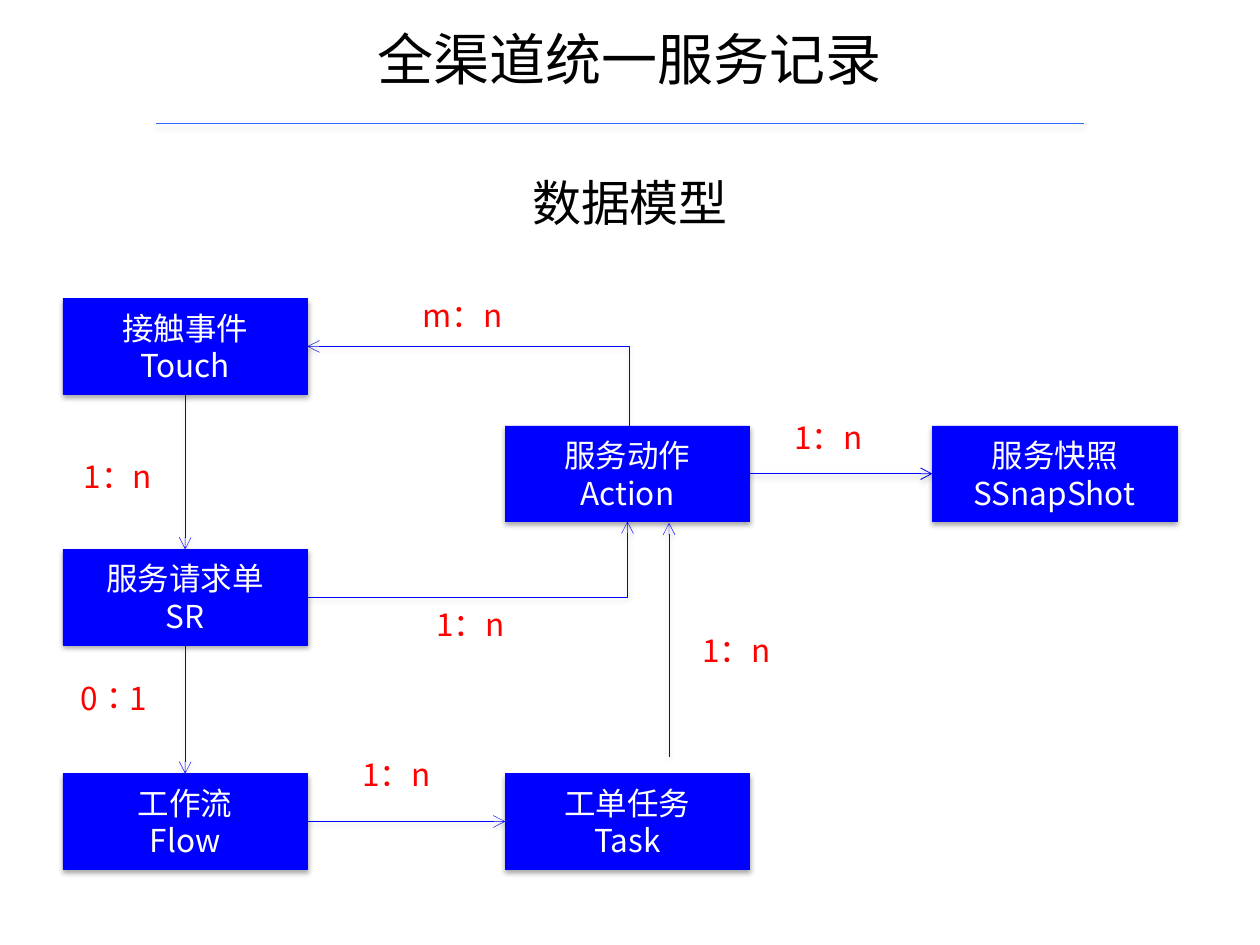
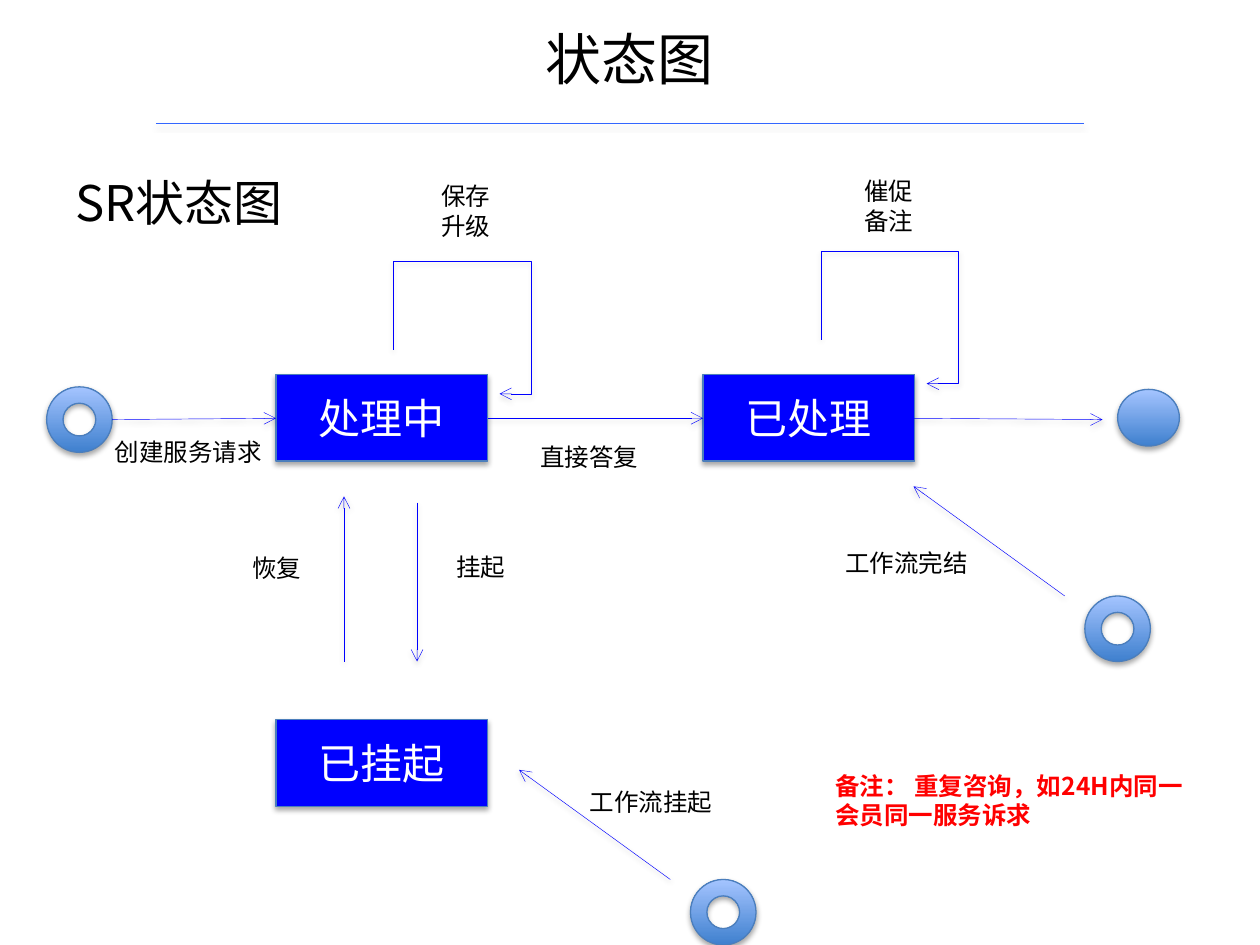
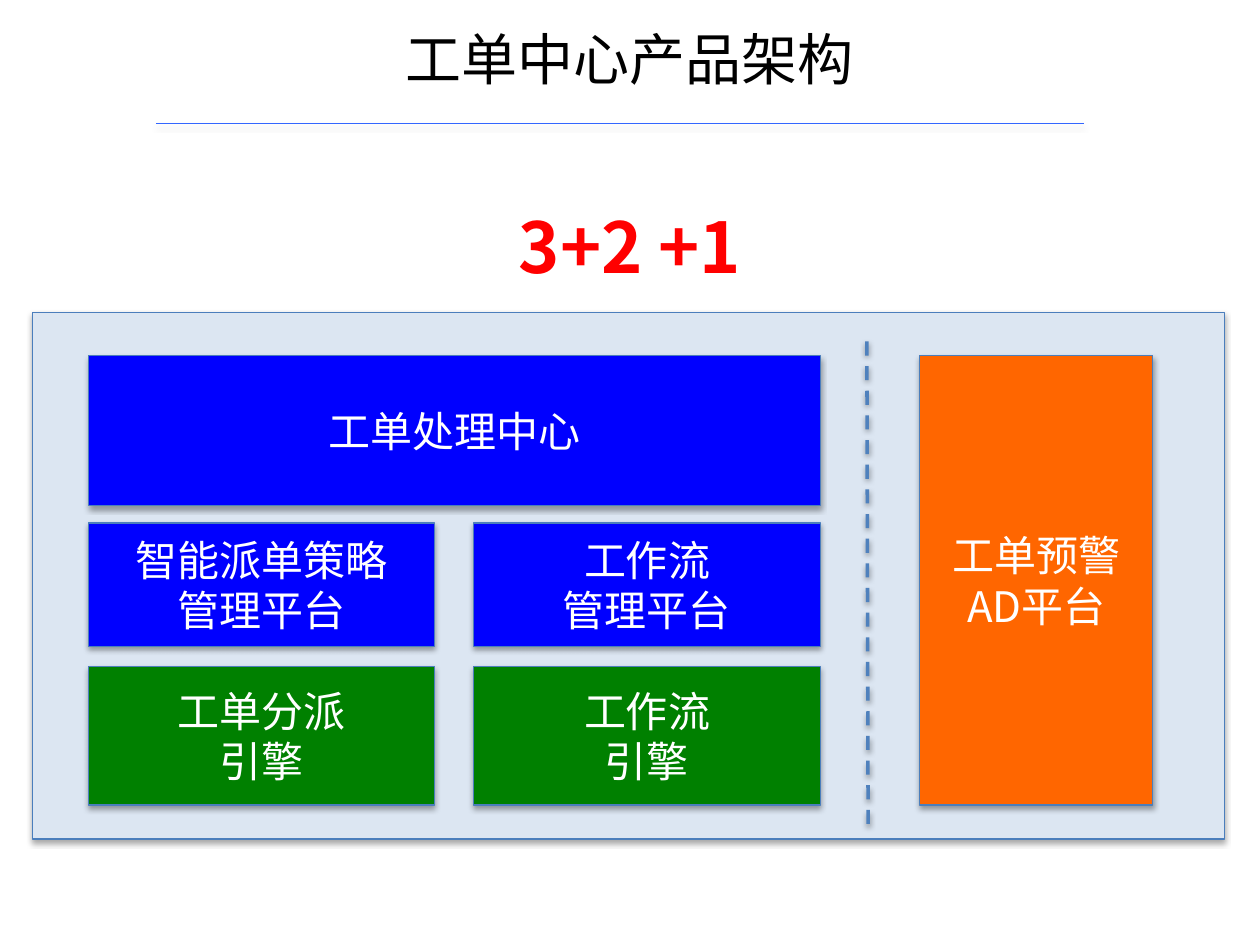
from collections import namedtuple
from lxml import etree
from pptx import Presentation
from pptx import util as u
from pptx.dml.color import RGBColor
from pptx.enum import dml, shapes, text
from pptx.oxml.ns import qn

BLUE = RGBColor(0x00, 0x00, 0xFF)
RULE = RGBColor(0x33, 0x66, 0xFF)
EDGE = RGBColor(0x4B, 0x7E, 0xBC)
DASH = RGBColor(0x4F, 0x81, 0xBD)
DEEP = RGBColor(0x3F, 0x80, 0xCE)
LIGHT = RGBColor(0xA4, 0xC4, 0xFF)
PALE = RGBColor(0xDC, 0xE6, 0xF2)
GREEN = RGBColor(0x00, 0x80, 0x00)
ORANGE = RGBColor(0xFF, 0x66, 0x00)
RED = RGBColor(0xFF, 0x00, 0x00)
BLACK = RGBColor(0x00, 0x00, 0x00)
WHITE = RGBColor(0xFF, 0xFF, 0xFF)
SC = "Noto Sans CJK SC"
JP = "Noto Sans CJK JP"
WIDE, HIGH = u.Inches(10), u.Inches(7.5)
COL, ROW = WIDE / 10, HIGH / 7.5
TOP, LEFT, BOTTOM, RIGHT = range(4)
MID = text.MSO_ANCHOR.MIDDLE
FORM = shapes.MSO_SHAPE

Box = namedtuple("Box", "x y w h")


def sub(box, x, y, w=0, h=0):
    """Return a part of a box, counted in columns and rows from its corner."""
    return Box(box.x + x, box.y + y, w, h)


def emu(box):
    """Turn a grid box into slide lengths."""
    return [round(n * m) for n, m in zip(box, (COL, ROW, COL, ROW))]


def shade(item, dist, alpha):
    """Give a shape or line a soft shadow below it."""
    props = item._element.spPr
    list_ = props.find(qn("a:effectLst"))
    if list_ is None:
        list_ = etree.SubElement(props, qn("a:effectLst"))
    cast = etree.SubElement(list_, qn("a:outerShdw"), blurRad="40000",
                            dist=str(dist), dir="5400000", rotWithShape="0")
    tint = etree.SubElement(cast, qn("a:srgbClr"), val="000000")
    etree.SubElement(tint, qn("a:alpha"), val=str(alpha * 1000))


def write(frame, words, size=18, color=BLACK, font=SC, bold=False,
          center=True, anchor=text.MSO_ANCHOR.TOP):
    """Fill a text frame, one paragraph a line."""
    frame.word_wrap = True
    frame.vertical_anchor = anchor
    for i, words_ in enumerate(words.split("\n")):
        para = frame.add_paragraph() if i else frame.paragraphs[0]
        para.alignment = text.PP_ALIGN.CENTER if center else text.PP_ALIGN.LEFT
        run = para.add_run()
        run.text = words_
        run.font.size, run.font.bold = u.Pt(size), bold
        run.font.name, run.font.color.rgb = font, color
        etree.SubElement(run._r.get_or_add_rPr(), qn("a:ea"), typeface=font)


def label(slide, box, words, **form):
    """Add a text box."""
    frame = slide.shapes.add_textbox(*emu(box)).text_frame
    write(frame, words, **form)
    return frame


def block(slide, box, fill, words="", kind=FORM.RECTANGLE, edge=EDGE,
          width=0.75, **form):
    """Add a shape with a shadow; no fill colour means the blue gradient."""
    item = slide.shapes.add_shape(kind, *emu(box))
    if fill is None:
        item.fill.gradient()
        item.fill.gradient_angle = 90
        for stop, color in zip(item.fill.gradient_stops, (DEEP, LIGHT)):
            stop.color.rgb = color
    else:
        item.fill.solid()
        item.fill.fore_color.rgb = fill
    item.line.color.rgb, item.line.width = edge, u.Pt(width)
    item.shadow.inherit = False
    shade(item, 23000, 35)
    if words:
        write(item.text_frame, words, color=WHITE, anchor=MID, **form)
    return item


def line(slide, start, end, color=BLUE, width=0.25, arrow=True, dash=None,
         kind=shapes.MSO_CONNECTOR.STRAIGHT):
    """Add a connector, with an open arrowhead unless told otherwise."""
    item = slide.shapes.add_connector(
        kind, *emu(start)[:2], *emu(end)[:2])
    item.line.color.rgb, item.line.width = color, u.Pt(width)
    if dash:
        item.line.dash_style = dash
    if arrow:
        etree.SubElement(item.line._get_or_add_ln(), qn("a:tailEnd"),
                         type="arrow")
    shade(item, 20000, 38)
    return item


def join(item, head, site, tail, port):
    """Glue a connector to two shapes."""
    item.begin_connect(head, site)
    item.end_connect(tail, port)


def bend(item, box, form, turn=0, flip="flipV", adjust=()):
    """Set the elbow form, place and turn of a connector."""
    item.left, item.top, item.width, item.height = emu(box)
    frame = item._element.spPr.find(qn("a:xfrm"))
    for name in ("flipH", "flipV"):
        frame.set(name, str(int(name == flip)))
    frame.set("rot", str(turn * 60000))
    shape = item._element.spPr.find(qn("a:prstGeom"))
    shape.set("prst", form)
    guides = shape.find(qn("a:avLst"))
    for i, share in enumerate(adjust, 1):
        etree.SubElement(guides, qn("a:gd"), name=f"adj{i}",
                         fmla=f"val {round(share * 100000)}")


def page(deck, title):
    """Add a blank slide with its title and rule."""
    slide = deck.slides.add_slide(deck.slide_layouts[6])
    label(slide, Box(0.5, 0.18, 9, 0.57), title, size=32, anchor=MID)
    line(slide, Box(1.24, 0.98, 0, 0), Box(8.6, 0.98, 0, 0), RULE, 0.75, False)
    return slide


def head(slide, words, center=True):
    """Add the heading under the rule."""
    frame = label(slide, Box(0.5, 1.37, 9, 0.77), words, size=28, center=center)
    frame.margin_top = 0


def model(slide, box):
    """Draw the entities of the data model and their relations."""
    nodes = {}
    for name, word, x, y in (
            ("Touch", "接触事件", 0, 0), ("SR", "服务请求单", 0, 1.99),
            ("Action", "服务动作", 3.51, 1.01), ("Flow", "工作流", 0, 3.77),
            ("Task", "工单任务", 3.51, 3.77), ("SSnapShot", "服务快照", 6.9, 1.01)):
        nodes[name] = block(slide, sub(box, x, y, 1.94, 0.76), BLUE,
                            f"{word}\n{name}", edge=BLUE, width=0.25)
    for tail, site, tip, port, width in (
            ("Touch", BOTTOM, "SR", TOP, 0.25),
            ("SR", BOTTOM, "Flow", TOP, 0.25),
            ("Flow", RIGHT, "Task", LEFT, 0.25),
            ("Action", RIGHT, "SSnapShot", LEFT, 0.5)):
        join(line(slide, box, box, width=width),
             nodes[tail], site, nodes[tip], port)
    line(slide, sub(box, 4.81, 3.64), sub(box, 4.81, 1.78))
    for tail, site, tip, port, place, turn in (
            ("SR", RIGHT, "Action", BOTTOM, (1.94, 1.77, 2.54, 0.6), 0),
            ("Action", TOP, "Touch", RIGHT, (2.9, -0.58, 0.63, 2.55), 270)):
        item = line(slide, box, box, kind=shapes.MSO_CONNECTOR.ELBOW)
        join(item, nodes[tail], site, nodes[tip], port)
        bend(item, sub(box, *place), "bentConnector2", turn)
    for words, x, y, w in (
            ("1：n", 0.01, 1.21, 0.85), ("0：1", -0.02, 2.97, 0.85),
            ("1：n", 2.22, 3.57, 0.85), ("1：n", 2.81, 2.38, 0.85),
            ("1：n", 4.92, 2.59, 0.85), ("1：n", 5.65, 0.9, 0.85),
            ("m：n", 2.57, -0.07, 1.2)):
        label(slide, sub(box, x, y, w, 0.4), words, color=RED, font=JP)


def states(slide, box):
    """Draw the states, their start and end marks and the moves between."""
    for words, x, y in (("处理中", 1.82, 1.62), ("已处理", 5.21, 1.62),
                        ("已挂起", 1.82, 4.36)):
        block(slide, sub(box, x, y, 1.68, 0.69), BLUE, words, size=24)
    for x, y in ((0, 1.72), (8.24, 3.38), (5.11, 5.63)):
        block(slide, sub(box, x, y, 0.52, 0.52), None, kind=FORM.DONUT)
    block(slide, sub(box, 8.5, 1.74, 0.49, 0.45), None, kind=FORM.OVAL)
    for start, end in (
            ((3.5, 1.97), (5.21, 1.97)), ((2.94, 2.64), (2.94, 3.9)),
            ((0.52, 1.98), (1.82, 1.97)), ((6.88, 1.97), (8.38, 1.98)),
            ((2.36, 3.9), (2.36, 2.59)), ((8.08, 3.38), (6.88, 2.51)),
            ((4.95, 5.63), (3.75, 4.76))):
        line(slide, sub(box, *start), sub(box, *end))
    for x, y in ((3, 1.18), (6.39, 1.1)):
        item = line(slide, box, box, kind=shapes.MSO_CONNECTOR.ELBOW)
        bend(item, sub(box, x, y, 0.35, 0.84), "bentConnector4", 270, "flipH",
             (-2, 1.3))
    for words, x, y, w, center in (
            ("创建服务请求", 0.43, 2.07, 1.39, True),
            ("保存\n升级", 2.63, 0.04, 1.39, True),
            ("催促\n备注", 5.99, 0, 1.39, True),
            ("挂起", 2.75, 2.98, 1.39, True),
            ("恢复", 1.13, 2.99, 1.39, True),
            ("直接答复", 3.82, 2.11, 1.29, False),
            ("工作流完结", 6.24, 2.95, 1.49, False),
            ("工作流挂起", 4.21, 4.85, 1.49, False)):
        label(slide, sub(box, x, y, w, 0.34), words, size=14, center=center)
    label(slide, sub(box, 6.16, 4.72, 3.13, 0.57),
          "备注： 重复咨询，如24H内同一会员同一服务诉求",
          size=14, color=RED, bold=True, center=False)


def layers(slide, box):
    """Draw the panel of platforms and engines, with the alert platform aside."""
    block(slide, box, PALE)
    left, wide, step = 0.44, 2.75, 3.06
    parts = [("工单处理中心", left, 0.34, step + wide, 1.19, BLUE),
             ("工单预警\nAD平台", 7.04, 0.34, 1.85, 3.57, ORANGE)]
    for y, h, fill, names in (
            (1.67, 0.98, BLUE, ("智能派单策略\n管理平台", "工作流\n管理平台")),
            (2.81, 1.1, GREEN, ("工单分派\n引擎", "工作流\n引擎"))):
        parts += [(name, left + i * step, y, wide, h, fill)
                  for i, name in enumerate(names)]
    for words, x, y, w, h, fill in parts:
        block(slide, sub(box, x, y, w, h), fill, words, size=24, font=JP)
    line(slide, sub(box, 6.62, 0.23), sub(box, 6.63, 4.08), DASH, 2, False,
         dml.MSO_LINE.DASH)


def main():
    """Build the three slides and save them."""
    deck = Presentation()
    deck.slide_width, deck.slide_height = WIDE, HIGH
    slide = page(deck, "全渠道统一服务记录")
    head(slide, "数据模型")
    model(slide, Box(0.5, 2.37, 8.84, 4.53))
    slide = page(deck, "状态图")
    head(slide, "SR状态图", center=False)
    states(slide, Box(0.37, 1.35, 9.29, 6.15))
    slide = page(deck, "工单中心产品架构")
    label(slide, Box(0.5, 1.55, 9, 0.79), "3+2 +1", size=40, color=RED,
          bold=True, anchor=MID)
    layers(slide, Box(0.26, 2.48, 9.46, 4.18))
    deck.save("out.pptx")


if __name__ == "__main__":
    main()
